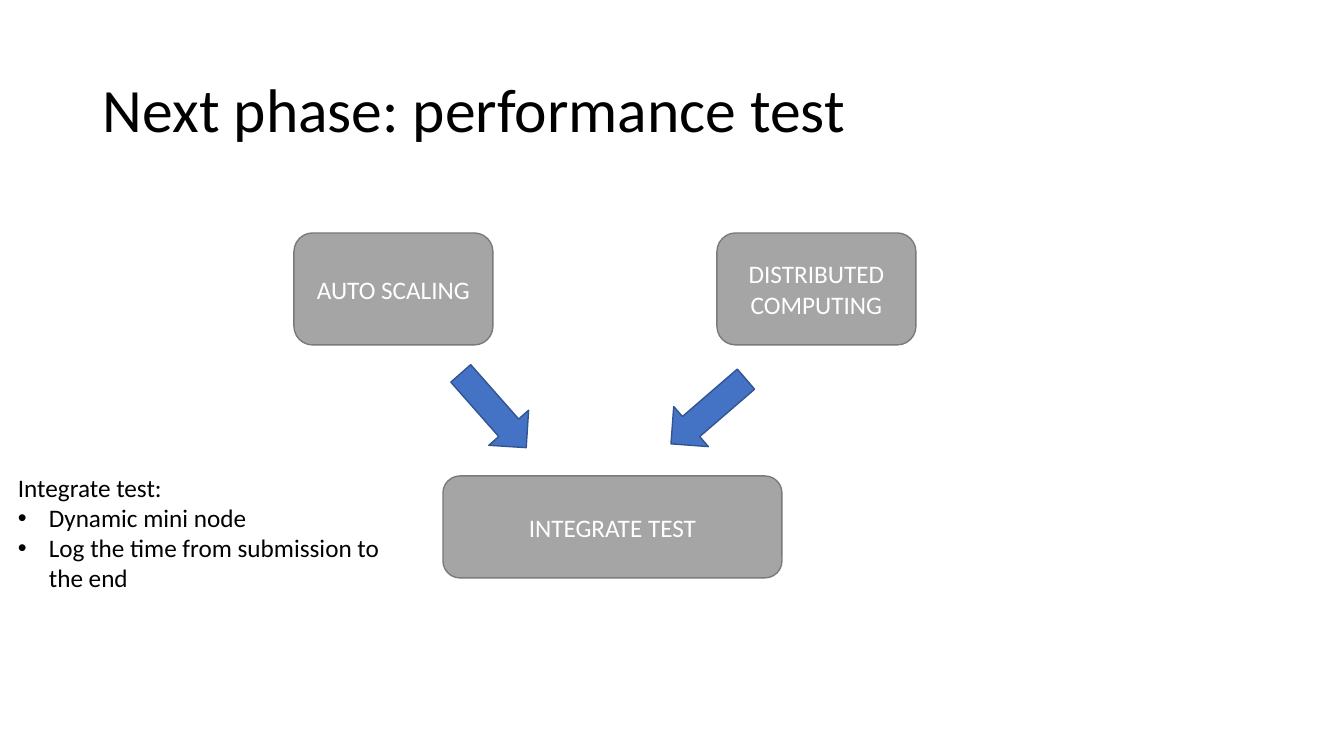
"""Build the slide on the next phase, the performance test."""
import dataclasses

import lxml.etree
import pptx
import pptx.dml.color
import pptx.enum.shapes
import pptx.enum.text
import pptx.oxml.ns
import pptx.shapes.autoshape
import pptx.slide
import pptx.text.text
import pptx.util

Color = pptx.dml.color.RGBColor
Preset = pptx.enum.shapes.MSO_SHAPE
Align = pptx.enum.text.PP_ALIGN
Anchor = pptx.enum.text.MSO_ANCHOR

EMU_PER_PIXEL = 914400 / 100.8


@dataclasses.dataclass(frozen=True)
class Theme:
    """Colours and type sizes of the slide."""

    font: str = "Calibri"
    title_size: int = 44
    body_size: int = 18
    ink: Color = Color.from_string("000000")
    step_ink: Color = Color.from_string("FFFFFF")
    step_fill: Color = Color.from_string("A5A5A5")
    step_line: Color = Color.from_string("7A7A7A")
    arrow_fill: Color = Color.from_string("4472C4")
    arrow_line: Color = Color.from_string("325491")


@dataclasses.dataclass(frozen=True)
class Box:
    """Place and size in pixels."""

    left: int
    top: int
    width: int
    height: int

    def emu(self) -> tuple[int, ...]:
        """Return the place and size in EMU."""
        return tuple(px(length) for length in dataclasses.astuple(self))


@dataclasses.dataclass(frozen=True)
class Step:
    """A labelled step of the test."""

    label: str
    box: Box


@dataclasses.dataclass(frozen=True)
class Arrow:
    """A turned arrow leading to the joint step."""

    box: Box
    rotation: float


THEME = Theme()
TITLE_BOX = Box(93, 40, 1159, 146)
NOTES_BOX = Box(8, 467, 412, 132)
BULLET_INDENT = 31
STEPS = (
    Step("AUTO SCALING", Box(294, 233, 199, 112)),
    Step("DISTRIBUTED COMPUTING", Box(717, 233, 199, 112)),
    Step("INTEGRATE TEST", Box(443, 476, 339, 102)),
)
ARROWS = (
    Arrow(Box(467, 361, 53, 99), 318.6),
    Arrow(Box(682, 362, 53, 99), 49.2),
)
NOTES_HEADING = "Integrate test:"
NOTES = ("Dynamic mini node", "Log the time from submission to the end")


def px(pixels: int) -> int:
    """Convert pixels to EMU."""
    return round(pixels * EMU_PER_PIXEL)


def style_text(paragraph: pptx.text.text._Paragraph, size: int, color: Color) -> None:
    """Set the font of a paragraph."""
    paragraph.font.name = THEME.font
    paragraph.font.size = pptx.util.Pt(size)
    paragraph.font.color.rgb = color


def add_bullet(paragraph: pptx.text.text._Paragraph) -> None:
    """Give a paragraph a hanging bullet."""
    properties = paragraph._p.get_or_add_pPr()
    properties.set("marL", str(px(BULLET_INDENT)))
    properties.set("indent", str(-px(BULLET_INDENT)))
    font = lxml.etree.Element(pptx.oxml.ns.qn("a:buFont"), typeface="Arial")
    mark = lxml.etree.Element(pptx.oxml.ns.qn("a:buChar"), char="•")
    defaults = properties.find(pptx.oxml.ns.qn("a:defRPr"))
    defaults.addprevious(font)
    defaults.addprevious(mark)


def add_text(slide: pptx.slide.Slide, box: Box) -> pptx.text.text.TextFrame:
    """Add a wrapping text box and return its frame."""
    frame = slide.shapes.add_textbox(*box.emu()).text_frame
    frame.word_wrap = True
    return frame


def add_filled(
    slide: pptx.slide.Slide, preset: Preset, box: Box, fill: Color, line: Color
) -> pptx.shapes.autoshape.Shape:
    """Add a filled and outlined preset shape."""
    shape = slide.shapes.add_shape(preset, *box.emu())
    shape.shadow.inherit = False
    shape.fill.solid()
    shape.fill.fore_color.rgb = fill
    shape.line.color.rgb = line
    shape.line.width = pptx.util.Pt(1)
    return shape


def draw_title(slide: pptx.slide.Slide) -> None:
    """Draw the slide title."""
    frame = add_text(slide, TITLE_BOX)
    frame.vertical_anchor = Anchor.MIDDLE
    title = frame.paragraphs[0]
    title.text = "Next phase: performance test"
    title.line_spacing = 0.9
    style_text(title, THEME.title_size, THEME.ink)


def draw_step(slide: pptx.slide.Slide, step: Step) -> None:
    """Draw one labelled step."""
    shape = add_filled(
        slide, Preset.FLOWCHART_ALTERNATE_PROCESS, step.box, THEME.step_fill, THEME.step_line
    )
    frame = shape.text_frame
    frame.word_wrap = True
    frame.vertical_anchor = Anchor.MIDDLE
    label = frame.paragraphs[0]
    label.text = step.label
    label.alignment = Align.CENTER
    style_text(label, THEME.body_size, THEME.step_ink)


def draw_arrow(slide: pptx.slide.Slide, arrow: Arrow) -> None:
    """Draw one turned arrow."""
    shape = add_filled(
        slide, Preset.DOWN_ARROW, arrow.box, THEME.arrow_fill, THEME.arrow_line
    )
    shape.rotation = arrow.rotation


def draw_notes(slide: pptx.slide.Slide) -> None:
    """Draw the heading and bullets about the joint test."""
    frame = add_text(slide, NOTES_BOX)
    frame.auto_size = pptx.enum.text.MSO_AUTO_SIZE.SHAPE_TO_FIT_TEXT
    heading = frame.paragraphs[0]
    heading.text = NOTES_HEADING
    style_text(heading, THEME.body_size, THEME.ink)
    for note in NOTES:
        bullet = frame.add_paragraph()
        bullet.text = note
        style_text(bullet, THEME.body_size, THEME.ink)
        add_bullet(bullet)


def main() -> None:
    """Build and save the presentation."""
    presentation = pptx.Presentation()
    presentation.slide_width = px(1344)
    presentation.slide_height = px(756)
    slide = presentation.slides.add_slide(presentation.slide_layouts[6])
    draw_title(slide)
    for step in STEPS:
        draw_step(slide, step)
    for arrow in ARROWS:
        draw_arrow(slide, arrow)
    draw_notes(slide)
    presentation.save("out.pptx")


main()
